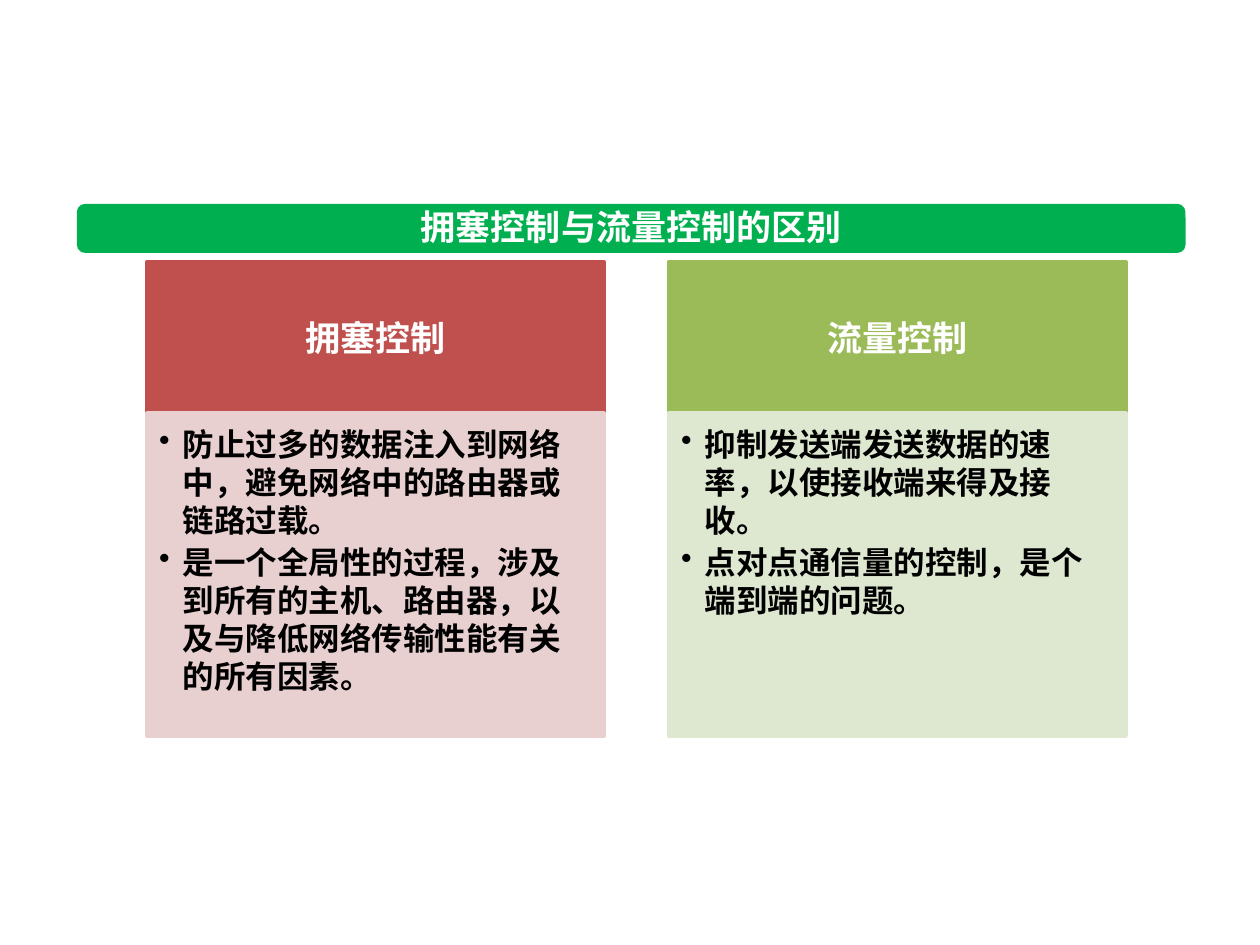
from lxml import etree
from pptx import Presentation
from pptx.dml.color import RGBColor
from pptx.enum.shapes import MSO_SHAPE
from pptx.enum.text import MSO_ANCHOR, MSO_AUTO_SIZE, PP_ALIGN
from pptx.oxml.ns import qn
from pptx.util import Cm, Pt

RECT, ROUNDED = MSO_SHAPE.RECTANGLE, MSO_SHAPE.ROUNDED_RECTANGLE
TOP, MIDDLE = MSO_ANCHOR.TOP, MSO_ANCHOR.MIDDLE
LEFT, CENTER = PP_ALIGN.LEFT, PP_ALIGN.CENTER
NO_AUTOFIT = MSO_AUTO_SIZE.NONE

FONT = "Noto Sans CJK SC"
WHITE = RGBColor(0xFF, 0xFF, 0xFF)
BLACK = RGBColor(0x00, 0x00, 0x00)
GREEN = RGBColor(0x00, 0xB0, 0x50)
RED = RGBColor(0xC0, 0x50, 0x4D)
PALE_RED = RGBColor(0xE8, 0xD0, 0xD0)
OLIVE = RGBColor(0x9B, 0xBB, 0x58)
PALE_OLIVE = RGBColor(0xDE, 0xE8, 0xD1)

TITLE = "拥塞控制与流量控制的区别"
COLUMNS = [
    ("拥塞控制", RED, PALE_RED, [
        "防止过多的数据注入到网络中，避免网络中的路由器或链路过载。",
        "是一个全局性的过程，涉及到所有的主机、路由器，以及与降低网络传输性能有关的所有因素。",
    ]),
    ("流量控制", OLIVE, PALE_OLIVE, [
        "抑制发送端发送数据的速率，以使接收端来得及接收。",
        "点对点通信量的控制，是个端到端的问题。",
    ]),
]


def add_run(p, text, size, color):
    r = p.add_run()
    r.text = text
    r.font.size = Pt(size)
    r.font.bold = True
    r.font.name = FONT
    r.font.color.rgb = color
    etree.SubElement(r.font._element, qn("a:ea"), typeface=FONT)


def set_frame(tf, anchor, left, top, right, bottom):
    tf.word_wrap = True
    tf.auto_size = NO_AUTOFIT
    tf.vertical_anchor = anchor
    tf.margin_left, tf.margin_top = Cm(left), Cm(top)
    tf.margin_right, tf.margin_bottom = Cm(right), Cm(bottom)


def add_panel(s, kind, x, y, w, h, color, outlined=True):
    sp = s.shapes.add_shape(kind, Cm(x), Cm(y), Cm(w), Cm(h))
    sp.shadow.inherit = False
    sp.fill.solid()
    sp.fill.fore_color.rgb = color
    if outlined:
        sp.line.color.rgb = color
        sp.line.width = Pt(2)
    else:
        sp.line.fill.background()
    return sp


def set_bullet(p, indent):
    pPr = p._p.get_or_add_pPr()
    pPr.set("marL", str(Cm(indent)))
    pPr.set("indent", str(-Cm(indent)))
    pPr.set("hangingPunct", "0")
    etree.SubElement(pPr, qn("a:buChar"), char="•")


def add_banner(s, x, y, w, h):
    add_panel(s, ROUNDED, x, y, w, h, GREEN, outlined=False)

    # Title placeholder, brought in front of the banner
    title = s.shapes.title
    title_w = 9.27
    title.left, title.top = Cm(x + (w - title_w) / 2), Cm(y - 0.1)
    title.width, title.height = Cm(title_w), Cm(h + 0.13)
    title._element.getparent().append(title._element)
    set_frame(title.text_frame, MIDDLE, 0, 0, 0, 0)
    p = title.text_frame.paragraphs[0]
    p.alignment = CENTER
    add_run(p, TITLE, 20, WHITE)


def add_column(s, x, y, w, h, heading, color, pale, points):
    head_h = 3.04

    # Heading
    head = add_panel(s, RECT, x, y, w, head_h, color)
    set_frame(head.text_frame, MIDDLE, 0.41, 0.23, 0.41, 0.23)
    p = head.text_frame.paragraphs[0]
    p.alignment = CENTER
    add_run(p, heading, 20, WHITE)

    # Bulleted points
    body = add_panel(s, RECT, x, y + head_h, w, h - head_h, pale)
    tf = body.text_frame
    set_frame(tf, TOP, 0.25, 0.25, 0.36, 0.41)
    for i, point in enumerate(points):
        p = tf.add_paragraph() if i else tf.paragraphs[0]
        set_bullet(p, 0.48)
        p.alignment = LEFT
        p.space_after = Pt(2.7)
        add_run(p, point, 18, BLACK)


def main():
    prs = Presentation()
    prs.slide_width, prs.slide_height = Cm(25.4), Cm(19.05)
    s = prs.slides.add_slide(prs.slide_layouts[5])
    add_banner(s, 1.55, 4.11, 22.35, 0.99)
    for i, column in enumerate(COLUMNS):
        add_column(s, 2.96 + i * 10.52, 5.28, 9.22, 9.56, *column)
    prs.save("out.pptx")


if __name__ == "__main__":
    main()
